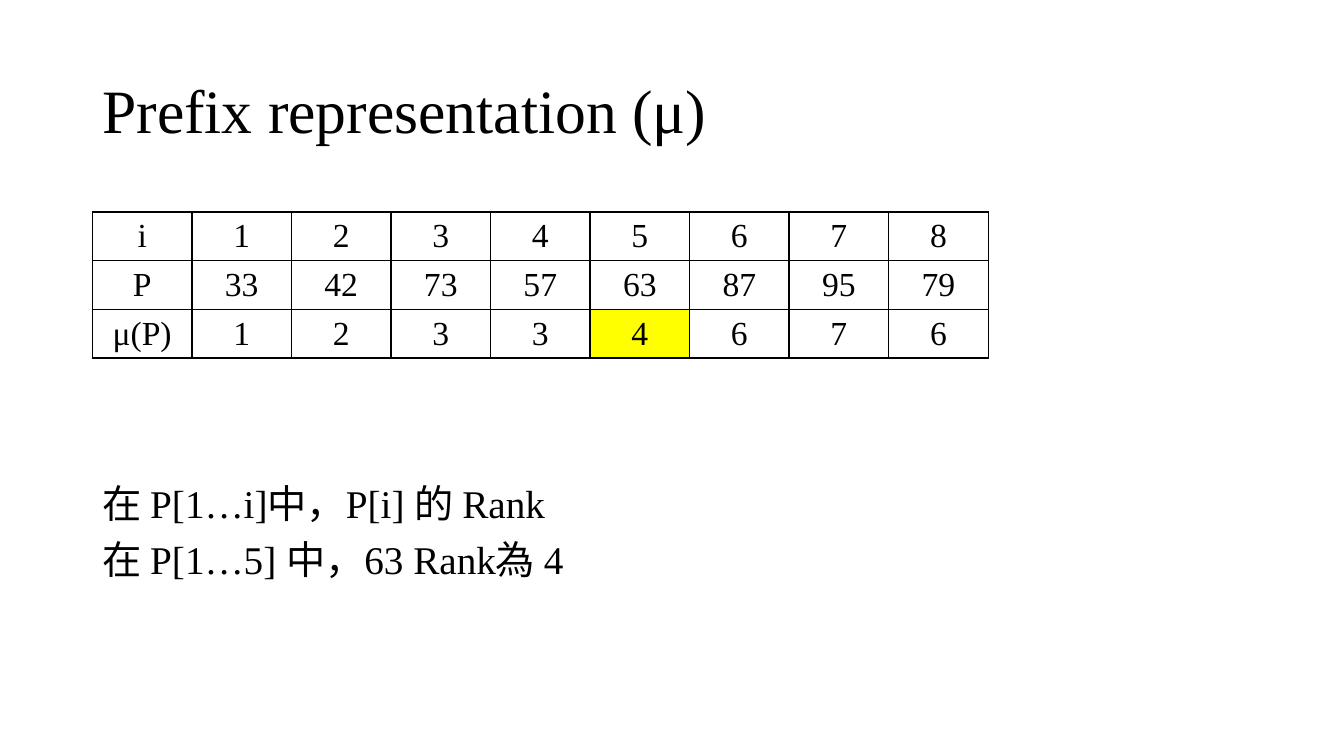
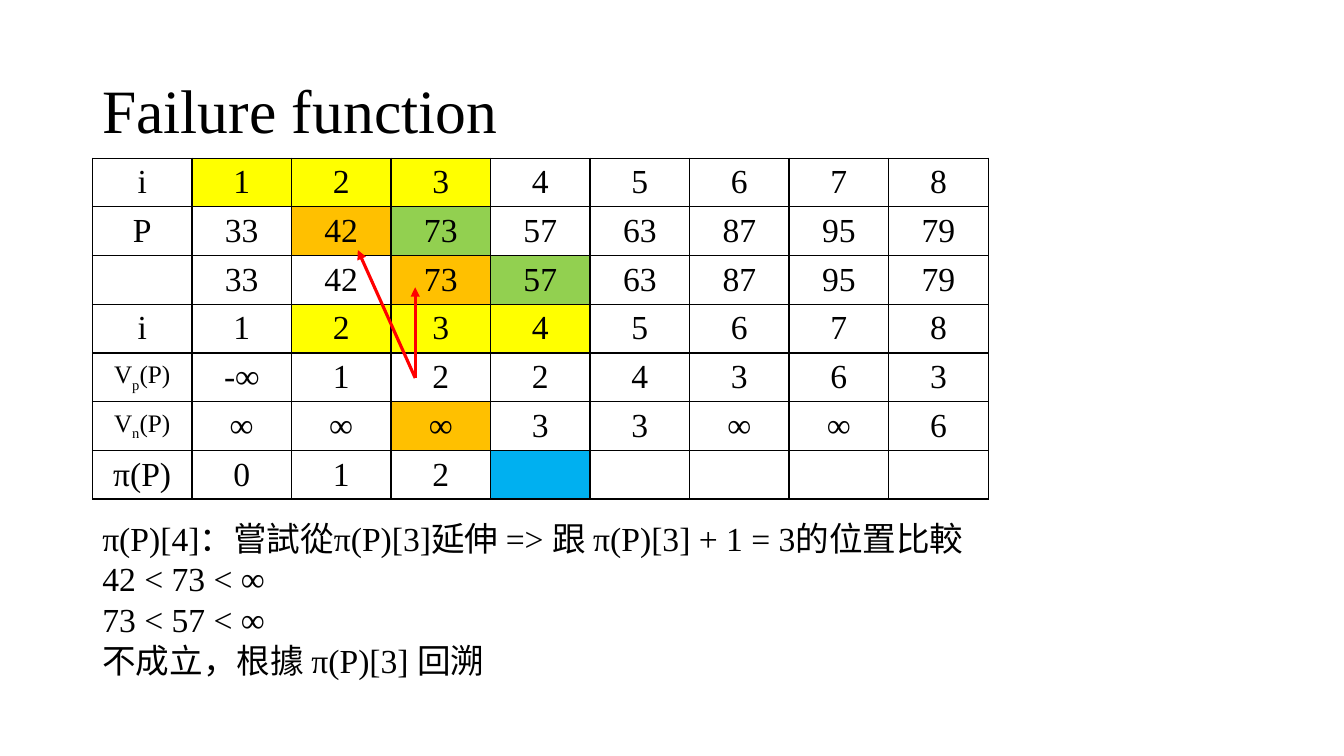
from lxml.etree import SubElement
from pptx import Presentation
from pptx.dml.color import RGBColor
from pptx.enum.shapes import MSO_CONNECTOR
from pptx.enum.text import MSO_ANCHOR, PP_ALIGN
from pptx.oxml.ns import qn
from pptx.util import Pt

BLACK = RGBColor(0x00, 0x00, 0x00)
WHITE = RGBColor(0xFF, 0xFF, 0xFF)
YELLOW = RGBColor(0xFF, 0xFF, 0x00)
ORANGE = RGBColor(0xFF, 0xC0, 0x00)
GREEN = RGBColor(0x92, 0xD0, 0x50)
BLUE = RGBColor(0x00, 0xB0, 0xF0)
RED = RGBColor(0xFF, 0x00, 0x00)

LATIN_FONT = "Times New Roman"
CHINESE_FONT = "Noto Sans CJK SC"
LEFT = 66
COLUMN_WIDTH = 71.1
ROW_HEIGHT = 33.8

INDEXES = ["i", *"12345678"]
PATTERN = ["33", "42", "73", "57", "63", "87", "95", "79"]


def add_text(paragraph, text, size=24, bold=False, baseline=0):
    """Add one run of text to a paragraph."""
    run = paragraph.add_run()
    run.text = text
    run.font.size = Pt(size)
    run.font.bold = bold
    run.font.color.rgb = BLACK
    run.font.name = LATIN_FONT
    properties = run._r.get_or_add_rPr()
    SubElement(properties, qn("a:ea")).set("typeface", CHINESE_FONT)
    if baseline:
        properties.set("baseline", str(baseline * 1000))


def add_text_box(slide, box, lines, size, line_spacing, gap=0, anchor=MSO_ANCHOR.TOP):
    """Add a wrapping text box with one paragraph per line."""
    shape = slide.shapes.add_textbox(*map(Pt, box))
    frame = shape.text_frame
    frame.word_wrap = True
    frame.vertical_anchor = anchor
    for number, line in enumerate(lines):
        paragraph = frame.add_paragraph() if number else frame.paragraphs[0]
        paragraph.line_spacing = line_spacing
        if number:
            paragraph.space_before = Pt(gap)
        add_text(paragraph, line, size=size)


def add_titled_slide(presentation, title):
    slide = presentation.slides.add_slide(presentation.slide_layouts[6])
    add_text_box(slide, (LEFT, 28.8, 828, 104.4), [title], 44, 0.9,
                 anchor=MSO_ANCHOR.MIDDLE)
    return slide


def set_borders(cell):
    """Draw a thin black line on all four sides of a cell."""
    properties = cell._tc.get_or_add_tcPr()
    for position, side in enumerate(("a:lnL", "a:lnR", "a:lnT", "a:lnB")):
        line = properties.makeelement(qn(side), {"w": str(Pt(1))})
        properties.insert(position, line)
        fill = SubElement(line, qn("a:solidFill"))
        SubElement(fill, qn("a:srgbClr")).set("val", str(BLACK))


def add_grid(slide, top, rows, highlights):
    """Add a table; a cell holds a string or a list of (text, format) runs."""
    row_count, column_count = len(rows), len(rows[0])
    table = slide.shapes.add_table(
        row_count, column_count, Pt(LEFT), Pt(top),
        Pt(COLUMN_WIDTH * column_count), Pt(ROW_HEIGHT * row_count)).table
    table.first_row = table.horz_banding = False
    for row_number, row in enumerate(rows):
        for column_number, content in enumerate(row):
            cell = table.cell(row_number, column_number)
            cell.margin_top = cell.margin_bottom = Pt(3)
            cell.vertical_anchor = MSO_ANCHOR.MIDDLE
            cell.fill.solid()
            cell.fill.fore_color.rgb = highlights.get((row_number, column_number), WHITE)
            set_borders(cell)
            paragraph = cell.text_frame.paragraphs[0]
            paragraph.alignment = PP_ALIGN.CENTER
            runs = [(content, {})] if isinstance(content, str) else content
            for text, text_format in runs:
                if text:
                    add_text(paragraph, text, **text_format)


def neighbour_label(subscript):
    return [("V", {"size": 18}), (subscript, {"size": 18, "baseline": -25}),
            ("(P)", {"size": 18})]


def add_arrow(slide, start, end):
    connector = slide.shapes.add_connector(
        MSO_CONNECTOR.STRAIGHT, *map(Pt, (*start, *end)))
    connector.line.color.rgb = RED
    connector.line.width = Pt(2.25)
    SubElement(connector.line._get_or_add_ln(), qn("a:tailEnd")).set("type", "triangle")
    SubElement(connector._element.spPr, qn("a:effectLst"))


def build_prefix_slide(presentation):
    slide = add_titled_slide(presentation, "Prefix representation (μ)")
    rows = [INDEXES, ["P", *PATTERN], ["μ(P)", *"12334676"]]
    add_grid(slide, 151.4, rows, {(2, 5): YELLOW})
    add_text_box(slide, (LEFT, 342, 350, 144),
                 ["在 P[1…i]中，P[i] 的 Rank", "在 P[1…5] 中，63 Rank為 4"],
                 28, Pt(30.4), gap=10)


def build_failure_slide(presentation):
    slide = add_titled_slide(presentation, "Failure function")
    rows = [
        INDEXES,
        ["P", *PATTERN],
        ["", *PATTERN],
        INDEXES,
        [neighbour_label("p"), [("-", {}), ("∞", {"bold": True})], *"1224363"],
        [neighbour_label("n"), *"∞∞∞33∞∞6"],
        ["π(P)", *"012", *[""] * 5],
    ]
    # The compared prefix and the suffix below it, one column apart
    highlights = {(0, column): YELLOW for column in (1, 2, 3)}
    highlights |= {(3, column): YELLOW for column in (2, 3, 4)}
    highlights |= {(1, 2): ORANGE, (2, 3): ORANGE, (5, 3): ORANGE,
                   (1, 3): GREEN, (2, 4): GREEN, (6, 4): BLUE}
    add_grid(slide, 113, rows, highlights)
    add_text_box(slide, (LEFT, 366, 636, 152),
                 ["π(P)[4]：嘗試從π(P)[3]延伸 => 跟 π(P)[3] + 1 = 3的位置比較",
                  "42 < 73 < ∞", "73 < 57 < ∞", "不成立，根據 π(P)[3] 回溯"],
                 24, Pt(29))
    # Arrows from the stored neighbour to the values it points at
    for end in ((255.6, 178.6), (296.6, 205.2)):
        add_arrow(slide, (296.6, 270), end)


def main():
    presentation = Presentation()
    presentation.slide_width, presentation.slide_height = Pt(960), Pt(540)
    build_prefix_slide(presentation)
    build_failure_slide(presentation)
    presentation.save("out.pptx")


if __name__ == "__main__":
    main()
